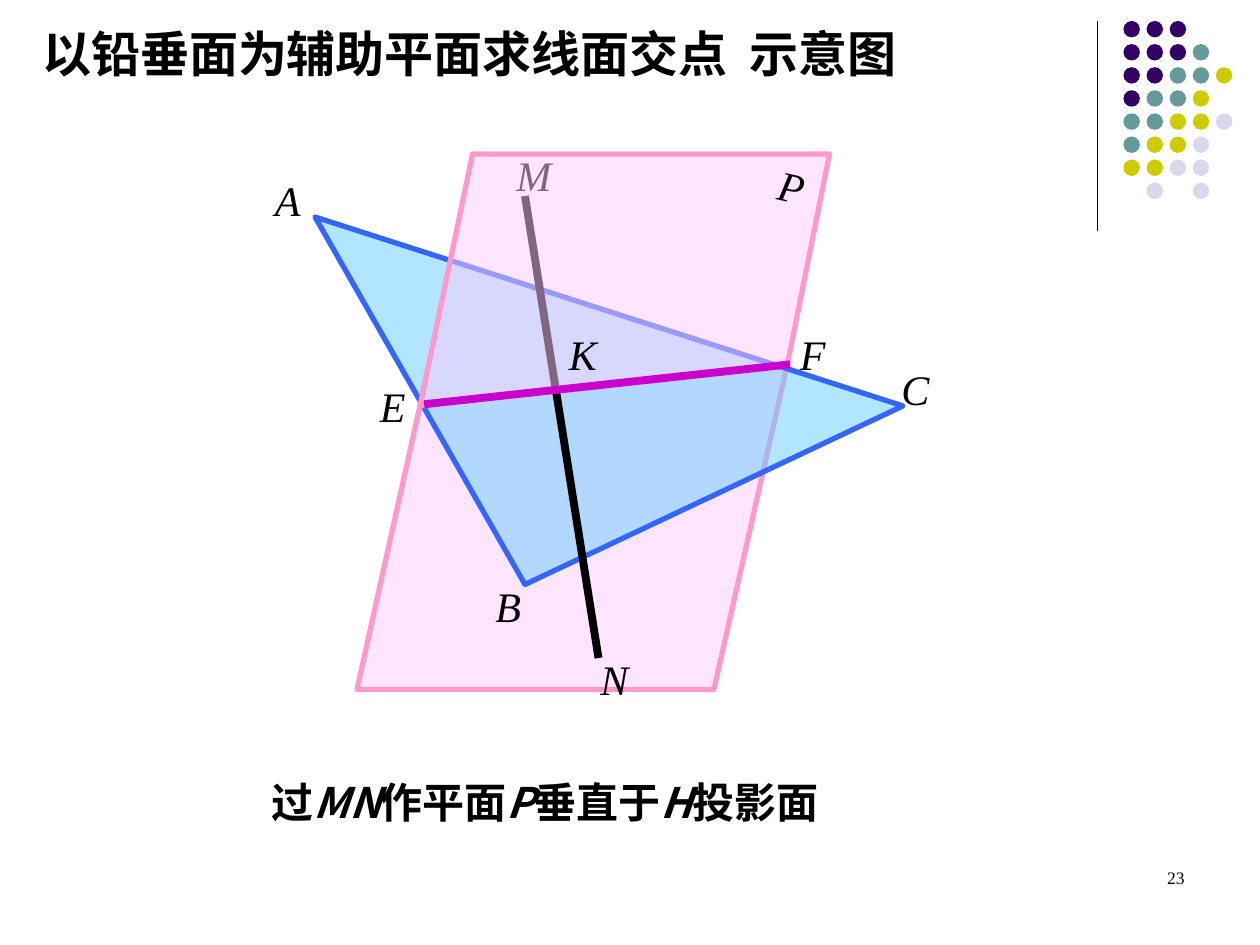
from typing import NamedTuple

import lxml.etree
import pptx
import pptx.dml.color
import pptx.enum.shapes
import pptx.enum.text
import pptx.oxml.ns
import pptx.util

RGBColor = pptx.dml.color.RGBColor
BLACK = RGBColor(0x00, 0x00, 0x00)
PLANE_FILL = RGBColor(0xFF, 0xCC, 0xFF)
PLANE_EDGE = RGBColor(0xFF, 0x99, 0xCC)
TRIANGLE_FILL = RGBColor(0x66, 0xCC, 0xFF)
TRIANGLE_EDGE = RGBColor(0x33, 0x66, 0xFF)
INTERSECTION = RGBColor(0xCC, 0x00, 0xCC)
DOT_COLORS = {
    "P": RGBColor(0x33, 0x00, 0x66),
    "T": RGBColor(0x66, 0x99, 0x99),
    "Y": RGBColor(0xCC, 0xCC, 0x00),
    "L": RGBColor(0xD8, 0xD8, 0xEC),
}
DOT_ROWS = ["PPP", "PPPT", "PPTTY", "PTTY", "TTYYL", "TYYL", "YYLL", ".L.L"]
DOT_LEFT, DOT_TOP, DOT_PITCH, DOT_SIZE = 107, 2, 2.2, 1.57

CJK_FONT = "Noto Sans CJK SC"
LATIN_FONT = "Times New Roman"
COLUMNS, ROWS = 120, 90
WIDTH, HEIGHT = pptx.util.Inches(10), pptx.util.Inches(7.5)


class Point(NamedTuple):
    column: float
    row: float


class Box(NamedTuple):
    column: float
    row: float
    columns: float
    rows: float


class Label(NamedTuple):
    text: str
    box: Box
    rotation: float = 0


class Piece(NamedTuple):
    text: str
    italic: bool = False


class TextStyle(NamedTuple):
    size: float
    font: str
    bold: bool = False
    italic: bool | None = None
    wrap: bool = True
    alignment: pptx.enum.text.PP_ALIGN = pptx.enum.text.PP_ALIGN.LEFT


LABEL_STYLE = TextStyle(24, LATIN_FONT, italic=True)
TITLE_STYLE = TextStyle(28, CJK_FONT, bold=True, wrap=False)
CAPTION_STYLE = TextStyle(24, CJK_FONT, bold=True)
NUMBER_STYLE = TextStyle(10, LATIN_FONT, alignment=pptx.enum.text.PP_ALIGN.RIGHT)

A, B, C = Point(30, 20.67), Point(50, 55.67), Point(86, 38.67)
E, F = Point(40, 38.67), Point(75, 34.67)
M, N = Point(50, 18.67), Point(57, 62.67)
UPPER_PLANE = [Point(45, 14.67), E, F, Point(79, 14.67)]
LOWER_PLANE = [E, Point(34, 65.67), Point(68, 65.67), F]

BACK_LABELS = [
    Label("C", Box(84.67, 34, 8.67, 6)),
    Label("A", Box(25, 16, 7.67, 6)),
    Label("B", Box(46, 54.67, 8.67, 6)),
]
LINE_LABELS = [
    Label("N", Box(56, 61.67, 7.67, 6)),
    Label("M", Box(48, 13.67, 7.67, 6)),
]
FRONT_LABELS = [
    Label("P", Box(73, 14.67, 4.8, 6), 12.6),
    Label("E", Box(35, 35.67, 5, 6)),
    Label("F", Box(75, 30.67, 5, 6)),
    Label("K", Box(53, 30.67, 5.9, 6)),
]
CAPTION = [
    Piece("过"), Piece("MN", True), Piece("作平面"), Piece("P", True),
    Piece("垂直于"), Piece("H", True), Piece("投影面"),
]


def across(columns: float) -> int:
    return round(WIDTH * columns / COLUMNS)


def down(rows: float) -> int:
    return round(HEIGHT * rows / ROWS)


def place(box: Box) -> tuple[int, int, int, int]:
    return across(box.column), down(box.row), across(box.columns), down(box.rows)


def add_text(slide, pieces: list[Piece], box: Box, style: TextStyle):
    shape = slide.shapes.add_textbox(*place(box))
    shape.text_frame.word_wrap = style.wrap
    paragraph = shape.text_frame.paragraphs[0]
    paragraph.alignment = style.alignment
    font = paragraph.font
    font.size = pptx.util.Pt(style.size)
    font.name = style.font
    font.bold = style.bold
    font.italic = style.italic
    font.color.rgb = BLACK
    for piece in pieces:
        run = paragraph.add_run()
        run.text = piece.text
        if style.italic is None:
            run.font.italic = piece.italic
    if style.font == CJK_FONT:
        for latin in list(paragraph._p.iter(pptx.oxml.ns.qn("a:latin"))):
            east_asian = lxml.etree.Element(pptx.oxml.ns.qn("a:ea"), typeface=CJK_FONT)
            latin.addnext(east_asian)
    return shape


def add_labels(slide, labels: list[Label]) -> None:
    for label in labels:
        shape = add_text(slide, [Piece(label.text)], label.box, LABEL_STYLE)
        shape.rotation = label.rotation


def add_line(slide, start: Point, end: Point, color: RGBColor, width: float) -> None:
    connector = slide.shapes.add_connector(
        pptx.enum.shapes.MSO_CONNECTOR.STRAIGHT,
        across(start.column), down(start.row), across(end.column), down(end.row),
    )
    connector.line.color.rgb = color
    connector.line.width = pptx.util.Pt(width)
    properties = connector._element.spPr
    lxml.etree.SubElement(properties, pptx.oxml.ns.qn("a:effectLst"))


def add_polygon(slide, points: list[Point], fill: RGBColor, edge: RGBColor) -> None:
    corners = [(across(point.column), down(point.row)) for point in points]
    builder = slide.shapes.build_freeform(*corners[0])
    builder.add_line_segments(corners[1:], close=True)
    shape = builder.convert_to_shape()
    shape.shadow.inherit = False
    shape.fill.solid()
    shape.fill.fore_color.rgb = fill
    shape.line.color.rgb = edge
    shape.line.width = pptx.util.Pt(3)
    color = shape._element.spPr.find(".//" + pptx.oxml.ns.qn("a:srgbClr"))
    lxml.etree.SubElement(color, pptx.oxml.ns.qn("a:alpha"), val="50000")
    lxml.etree.SubElement(shape.line._ln, pptx.oxml.ns.qn("a:round"))


def add_dots(slide) -> None:
    for row, codes in enumerate(DOT_ROWS):
        for column, code in enumerate(codes):
            if code not in DOT_COLORS:
                continue
            box = Box(DOT_LEFT + column * DOT_PITCH, DOT_TOP + row * DOT_PITCH, DOT_SIZE, DOT_SIZE)
            dot = slide.shapes.add_shape(pptx.enum.shapes.MSO_SHAPE.OVAL, *place(box))
            dot.shadow.inherit = False
            dot.fill.solid()
            dot.fill.fore_color.rgb = DOT_COLORS[code]
            dot.line.fill.background()


def main() -> None:
    presentation = pptx.Presentation()
    presentation.slide_width, presentation.slide_height = WIDTH, HEIGHT
    slide = presentation.slides.add_slide(presentation.slide_layouts[6])
    add_line(slide, Point(104.5, 2), Point(104.5, 22), BLACK, 0.75)
    add_dots(slide)
    add_polygon(slide, LOWER_PLANE, PLANE_FILL, PLANE_EDGE)
    add_labels(slide, BACK_LABELS)
    add_polygon(slide, [A, B, C], TRIANGLE_FILL, TRIANGLE_EDGE)
    add_text(slide, CAPTION, Box(24.67, 73.33, 74, 6), CAPTION_STYLE)
    add_labels(slide, LINE_LABELS)
    add_line(slide, M, N, BLACK, 4.5)
    add_polygon(slide, UPPER_PLANE, PLANE_FILL, PLANE_EDGE)
    add_labels(slide, FRONT_LABELS)
    add_line(slide, Point(40.4, 38.5), Point(75.25, 34.7), INTERSECTION, 4.5)
    title = [Piece("以铅垂面为辅助平面求线面交点  示意图")]
    add_text(slide, title, Box(2.85, 1.6, 86.3, 6.8), TITLE_STYLE)
    add_text(slide, [Piece("23")], Box(86, 82, 28, 6), NUMBER_STYLE)
    presentation.save("out.pptx")


if __name__ == "__main__":
    main()
